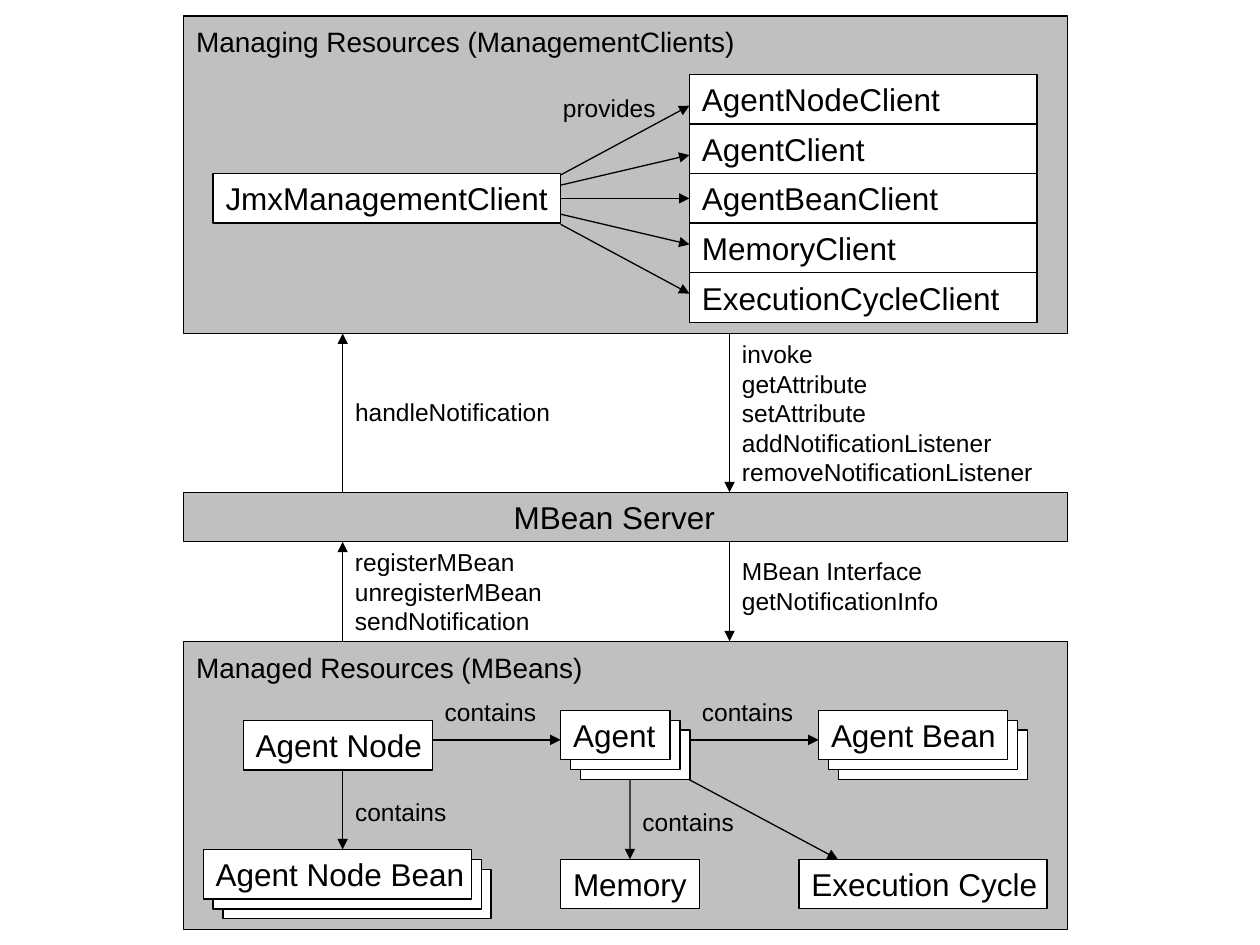
from lxml import etree
from pptx import Presentation
from pptx.dml.color import RGBColor
from pptx.enum.shapes import MSO_CONNECTOR, MSO_SHAPE
from pptx.enum.text import MSO_ANCHOR, PP_ALIGN
from pptx.oxml.ns import qn
from pptx.util import Pt

RECT = MSO_SHAPE.RECTANGLE
LINE = MSO_CONNECTOR.STRAIGHT
TOP, MID = MSO_ANCHOR.TOP, MSO_ANCHOR.MIDDLE
LEFT, CENTER = PP_ALIGN.LEFT, PP_ALIGN.CENTER
BLACK, GREY, WHITE = "000000", "C0C0C0", "FFFFFF"
color = RGBColor.from_string

ROW = 28.35   # height of a one-line box
STEP = 5.67   # offset between stacked boxes

deck = Presentation()
deck.slide_width, deck.slide_height = Pt(720), Pt(540)
slide = deck.slides.add_slide(deck.slide_layouts[6])
shapes = slide.shapes


def write(shape, text, size, align=LEFT, **form):
    frame = shape.text_frame
    base = {"word_wrap": True, "vertical_anchor": MID, "margin_left": Pt(7.2),
            "margin_right": 0, "margin_top": Pt(3.6), "margin_bottom": Pt(3.6)}
    for name, value in {**base, **form}.items():
        setattr(frame, name, value)
    frame.text = text
    for para in frame.paragraphs:
        para.alignment = align
        for name, value in {"name": "Arial", "size": Pt(size)}.items():
            setattr(para.font, name, value)
        para.font.color.rgb = color(BLACK)


def box(x, y, w, h=ROW, fill=WHITE):
    shape = shapes.add_shape(RECT, Pt(x), Pt(y), Pt(w), Pt(h))
    shape.shadow.inherit = False
    shape.fill.solid()
    shape.fill.fore_color.rgb = color(fill)
    shape.line.color.rgb = color(BLACK)
    shape.line.width = Pt(0.75)
    return shape


# Grey panels and the server bar between them
for text, y, h in [("Managing Resources (ManagementClients)", 9.2, 181.4),
                   ("Managed Resources (MBeans)", 366.5, 164.6)]:
    write(box(105, y, 505, h, GREY), text, 16,
          vertical_anchor=TOP, margin_top=Pt(5))
write(box(105, 281.3, 505, ROW, GREY), "MBean Server", 18, CENTER,
      margin_right=Pt(20))

# White boxes: text, left, top, width, number in the stack
nodes = [
    ("JmxManagementClient", 121.8, 99.2, 198.6, 1),
    ("Agent Node", 139, 411.8, 108, 1),
    ("Agent", 320.4, 405.9, 62.5, 3),
    ("Agent Bean", 467.8, 405.9, 108, 3),
    ("Agent Node Bean", 116.1, 485.4, 153.2, 3),
    ("Memory", 320.4, 491, 79.2, 1),
    ("Execution Cycle", 456.6, 491, 141.8, 1),
]
clients = ["AgentNodeClient", "AgentClient", "AgentBeanClient",
           "MemoryClient", "ExecutionCycleClient"]
nodes += [(text, 394, 42.5 + i * ROW, 198.6, 1)
          for i, text in enumerate(clients)]
made = {}
for text, x, y, w, count in nodes:
    for i in reversed(range(count)):
        made[text] = box(x + i * STEP, y + i * STEP, w)
    write(made[text], text, 18)

# Arrows: start, end, joined start and end as (box, side)
jmx = (made["JmxManagementClient"], 3)
bean = (made["AgentBeanClient"], 1)
memory = (made["Memory"], 0)
arrows = [
    (320.4, 113.4, 394, 113.4, jmx, bean),
    (320.4, 100, 394, 60.4, None, None),
    (320.4, 105.8, 394, 88.6, None, None),
    (320.4, 122.4, 394, 139.7, None, None),
    (320.4, 128.2, 394, 167.8, None, None),
    (195.8, 281.3, 195.8, 190.6, None, None),
    (416.9, 190.6, 416.9, 281.3, None, None),
    (195.8, 366.5, 195.8, 309.6, None, None),
    (416.9, 309.6, 416.9, 366.5, None, None),
    (195.8, 440.2, 195.8, 485.4, None, None),
    (247, 422.8, 320.4, 422.8, None, None),
    (394, 422.8, 467.8, 422.8, None, None),
    (360, 445.6, 360, 491, None, memory),
    (394, 445.6, 478.8, 491, None, None),
]
for x1, y1, x2, y2, start, end in arrows:
    arrow = shapes.add_connector(LINE, Pt(x1), Pt(y1), Pt(x2), Pt(y2))
    if start:
        arrow.begin_connect(*start)
    if end:
        arrow.end_connect(*end)
    arrow.line.color.rgb = color(BLACK)
    arrow.line.width = Pt(0.75)
    props = arrow.element.spPr
    etree.SubElement(props.find(qn("a:ln")), qn("a:tailEnd"), type="triangle")
    etree.SubElement(props, qn("a:effectLst"))

# Labels beside the arrows: text, left, top, width, height
labels = [
    ("provides", 314.6, 49.2, 68, 24.2),
    ("handleNotification", 195.8, 223.2, 131, 24.2),
    ("invoke\ngetAttribute\nsetAttribute\naddNotificationListener\n"
     "removeNotificationListener", 416.9, 190.3, 182, 91.4),
    ("registerMBean\nunregisterMBean\nsendNotification",
     195.8, 309.2, 125, 57.6),
    ("MBean Interface\ngetNotificationInfo", 416.9, 314.2, 136, 41),
    ("contains", 195.8, 451.6, 68, 24.2),
    ("contains", 247, 394.8, 68, 24.2),
    ("contains", 394, 394.8, 68, 24.2),
    ("contains", 360, 457.2, 68, 24.2),
]
for text, x, y, w, h in labels:
    write(shapes.add_textbox(Pt(x), Pt(y), Pt(w), Pt(h)), text, 14)

deck.save("out.pptx")
